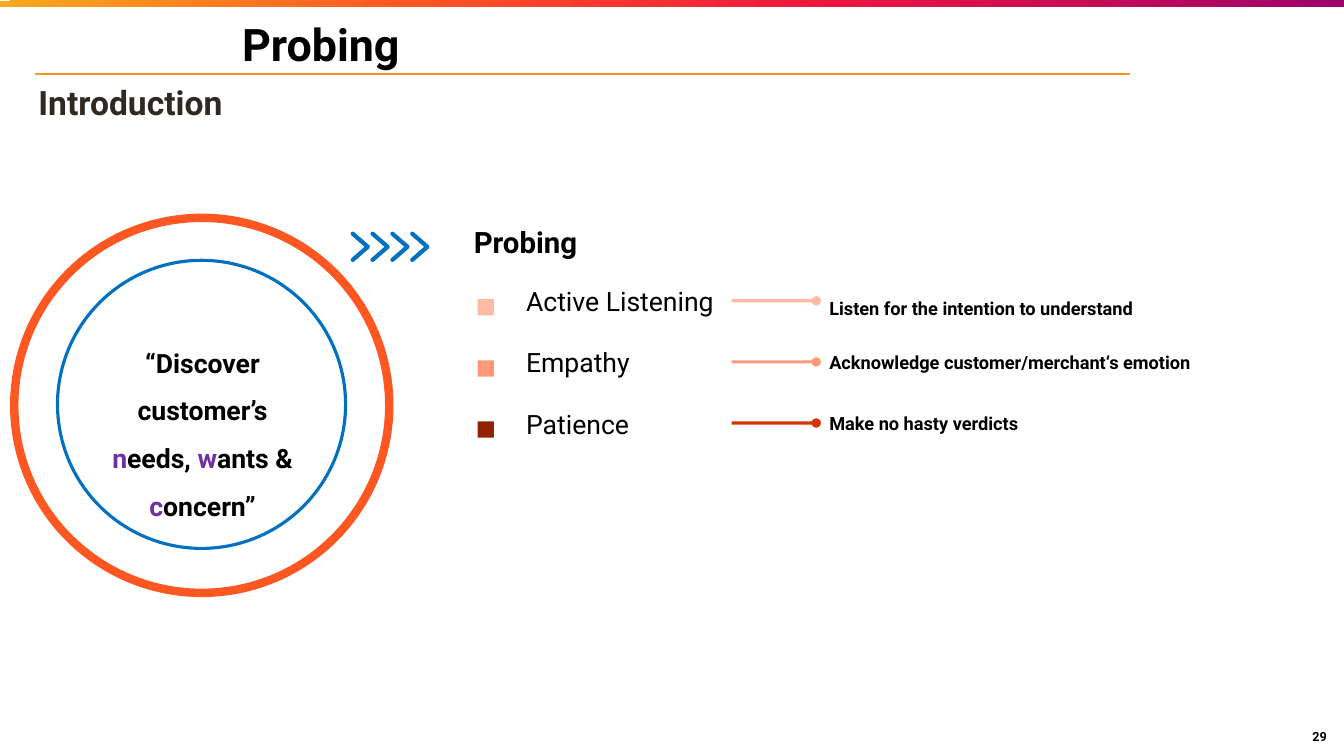
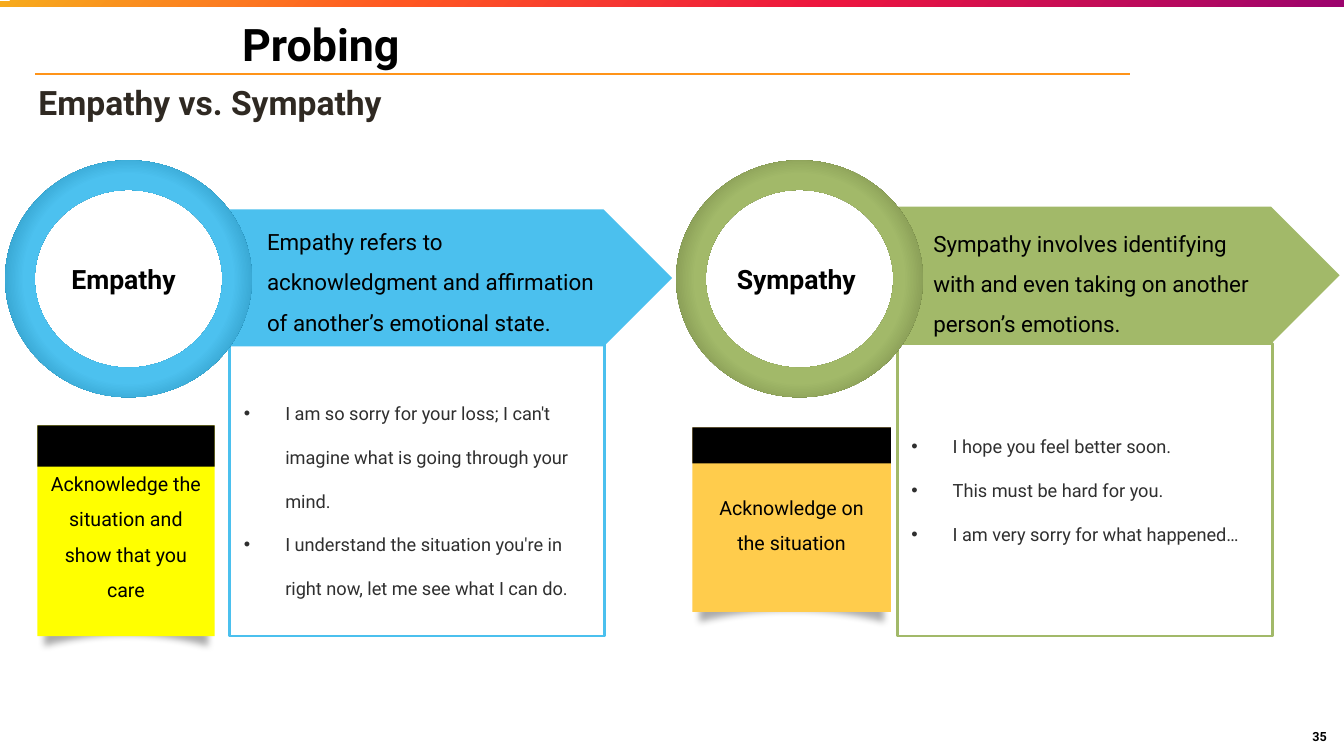
from dataclasses import dataclass

from lxml import etree
from pptx import Presentation
from pptx import oxml
from pptx import util as u
from pptx.dml.color import RGBColor
from pptx.enum import shapes, text
from pptx.oxml import ns

Cm, Pt = u.Cm, u.Pt
Box = tuple[float, float, float, float]  # left, top, width, height in cm
Runs = list[tuple[str, str]]  # text, colour name

FONT = "Roboto"
COLORS = {
    "black": "000000", "white": "FFFFFF", "subtitle": "2F2922", "body": "2F2F2F",
    "rule": "FF9419", "orange": "FF5722", "blue": "0070C0", "purple": "7030A0",
    "peach": "FFBAA6", "salmon": "FF997A", "red": "D83300", "maroon": "902200",
    "sky": "4BC0EE", "olive": "A2B969", "yellow": "FFFF00", "amber": "FFCC4C",
    "grey": "BDBDBD",
}
BAND_STOPS = [(0, "F7AB1D"), (30, "FF5722"), (62, "EC153F"), (100, "9C036D")]
LINEAR = '<a:lin ang="2700000" scaled="0"/>'
RADIAL = ('<a:path path="circle"><a:fillToRect l="50000" t="50000" '
          'r="50000" b="50000"/></a:path>')
SMALL_INSETS = (0.08, 0.08, 0.08, 0.08)
TEXT_INSETS = (0.33, 0.18, 0.33, 0.18)


@dataclass
class TextStyle:
    size: float
    color: str = "black"
    bold: bool = False
    align: text.PP_ALIGN = text.PP_ALIGN.LEFT
    anchor: text.MSO_ANCHOR = text.MSO_ANCHOR.TOP
    spacing: float = 1.0
    insets: Box = TEXT_INSETS
    bullets: bool = False


@dataclass
class Skill:
    name: str
    detail: str
    square_color: str
    line_color: str
    detail_height: float = 0.91
    detail_spacing: float = 1.0


@dataclass
class Note:
    message: str
    box: Box
    header_height: float
    color: str


@dataclass
class Panel:
    name: str
    definition: str
    examples: list[str]
    color: str
    ring_stops: list[tuple[int, str]]
    ring_left: float
    name_left: float
    box_left: float
    arrow_top: float
    definition_box: Box
    note: Note
    bottom_inset: float = 0.18


def rgb(name: str) -> RGBColor:
    return RGBColor.from_string(COLORS[name])


def drawing_xml(tag: str, attributes: str = "", inner: str = ""):
    return oxml.parse_xml(f"<a:{tag} {ns.nsdecls('a')} {attributes}>{inner}</a:{tag}>")


def paint(shape, fill: str | None = None, line: str | None = None, width: float = 1) -> None:
    """Set fill and outline by colour name; None means none."""
    shape.shadow.inherit = False
    if fill:
        shape.fill.solid()
        shape.fill.fore_color.rgb = rgb(fill)
    else:
        shape.fill.background()
    if line:
        shape.line.color.rgb = rgb(line)
        shape.line.width = Pt(width)
    else:
        shape.line.fill.background()


def paint_gradient(shape, stops: list[tuple[int, str]], direction: str) -> None:
    paint(shape, "white")
    solid = shape._element.spPr.find(ns.qn("a:solidFill"))
    stop_xml = "".join(f'<a:gs pos="{position * 1000}"><a:srgbClr val="{color}"/></a:gs>'
                       for position, color in stops)
    gradient = drawing_xml("gradFill", 'rotWithShape="1"',
                           f"<a:gsLst>{stop_xml}</a:gsLst>{direction}")
    solid.getparent().replace(solid, gradient)


def add_preset(slide, kind: shapes.MSO_SHAPE, box: Box):
    return slide.shapes.add_shape(kind, *(Cm(value) for value in box))


def add_outline(slide, points: list[tuple[float, float]], close: bool):
    (left, top), *rest = [(Cm(x), Cm(y)) for x, y in points]
    builder = slide.shapes.build_freeform(left, top)
    builder.add_line_segments(rest, close=close)
    return builder.convert_to_shape()


def add_line(slide, start: tuple[float, float], end: tuple[float, float],
             color: str, width: float):
    line = slide.shapes.add_connector(shapes.MSO_CONNECTOR.STRAIGHT,
                                      *(Cm(value) for value in start + end))
    line.line.color.rgb = rgb(color)
    line.line.width = Pt(width)
    line._element.spPr.append(drawing_xml("effectLst"))
    return line


def add_bullet(paragraph) -> None:
    properties = paragraph._p.get_or_add_pPr()
    properties.set("marL", str(Cm(1.07)))
    properties.set("indent", str(Cm(-1.04)))
    properties.append(drawing_xml("buClr", "", f'<a:srgbClr val="{COLORS["body"]}"/>'))
    properties.append(drawing_xml("buFont", 'typeface="Arial"'))
    properties.append(drawing_xml("buChar", 'char="•"'))


def write(shape, paragraphs: list[Runs], style: TextStyle) -> None:
    frame = shape.text_frame
    frame.word_wrap = True
    frame.vertical_anchor = style.anchor
    (frame.margin_left, frame.margin_top,
     frame.margin_right, frame.margin_bottom) = (Cm(inset) for inset in style.insets)
    for index, runs in enumerate(paragraphs):
        paragraph = frame.add_paragraph() if index else frame.paragraphs[0]
        if style.bullets:
            add_bullet(paragraph)
        paragraph.alignment = style.align
        paragraph.line_spacing = style.spacing
        for words, color in runs:
            run = paragraph.add_run()
            run.text = words
            run.font.name = FONT
            run.font.size = Pt(style.size)
            run.font.bold = style.bold
            run.font.color.rgb = rgb(color)


def add_text(slide, box: Box, words: str | Runs, style: TextStyle):
    text_box = slide.shapes.add_textbox(*(Cm(value) for value in box))
    runs = [(words, style.color)] if isinstance(words, str) else words
    write(text_box, [runs], style)
    return text_box


def add_base_slide(presentation, subtitle: str, number: int):
    """Add a slide with the shared band, title, rule, subtitle and number."""
    slide = presentation.slides.add_slide(presentation.slide_layouts[6])
    middle = text.MSO_ANCHOR.MIDDLE
    add_line(slide, (0.89, 1.87), (28.47, 1.87), "rule", 1.5)
    band = add_preset(slide, shapes.MSO_SHAPE.RECTANGLE, (0, 0.02, 33.87, 0.15))
    paint_gradient(band, BAND_STOPS, LINEAR)
    add_text(slide, (0.89, 2.06, 27.4, 1.02), subtitle,
             TextStyle(24, "subtitle", True, anchor=middle, insets=SMALL_INSETS))
    add_text(slide, (32.66, 18.14, 1.19, 0.86), str(number),
             TextStyle(9, bold=True, align=text.PP_ALIGN.CENTER, anchor=middle,
                       insets=(0, 0, 0, 0)))
    add_text(slide, (6.02, 0.13, 21.49, 1.96), "Probing",
             TextStyle(32, bold=True, anchor=middle, insets=SMALL_INSETS))
    return slide


def add_skill(slide, skill: Skill, top: float) -> None:
    height = 1.14
    square = add_preset(slide, shapes.MSO_SHAPE.RECTANGLE, (12.04, top + 0.53, 0.41, 0.41))
    paint(square, skill.square_color)
    label = add_text(slide, (12.93, top, 5.51, height), skill.name, TextStyle(19))
    detail_top = top + (height - skill.detail_height) / 2
    detail = add_text(slide, (20.57, detail_top, 13, skill.detail_height), skill.detail,
                      TextStyle(13, bold=True, spacing=skill.detail_spacing))
    center = top + height / 2
    line = add_line(slide, (18.44, center), (20.57, center), skill.line_color, 2.25)
    line.begin_connect(label, 3)
    line.end_connect(detail, 1)
    line.line._get_or_add_ln().append(drawing_xml("tailEnd", 'type="oval"'))


def add_quote_circle(slide) -> None:
    for box, color, width in [((0.36, 5.49, 9.45, 9.45), "orange", 6),
                              ((1.45, 6.56, 7.26, 7.26), "blue", 2.25)]:
        paint(add_preset(slide, shapes.MSO_SHAPE.OVAL, box), None, color, width)
    for index in range(4):
        left = 8.89 + 0.5 * index
        chevron = add_outline(slide, [(left, 5.89), (left + 0.38, 6.22), (left, 6.55)], False)
        paint(chevron, None, "blue", 3)
        outline = chevron.line._get_or_add_ln()
        outline.set("cap", "rnd")
        outline.append(drawing_xml("round"))
    quote = [("“Discover customer’s ", "black"), ("n", "purple"), ("eeds, ", "black"),
             ("w", "purple"), ("ants & ", "black"), ("c", "purple"), ("oncern”", "black")]
    add_text(slide, (2.11, 8.15, 5.99, 5.2), quote,
             TextStyle(19, bold=True, align=text.PP_ALIGN.CENTER, spacing=1.5))


def add_note(slide, note: Note) -> None:
    """Draw a headed note with a curled shadow under its lower edge."""
    left, top, width, height = note.box
    inset, depth, steps = 0.19, 0.6, 16
    curl_width, bottom = width - 2 * inset, top + height
    curl = [(left + inset + curl_width * step / steps,
             bottom - 0.47 * depth * (1 - (2 * step / steps - 1) ** 2))
            for step in range(steps + 1)]
    corners = [(left + width - inset, bottom - depth), (left + inset, bottom - depth)]
    shade = add_outline(slide, curl + corners, True)
    paint(shade, "grey")
    effects = shade._element.spPr.find(ns.qn("a:effectLst"))
    shadow = drawing_xml("outerShdw", f'blurRad="{Pt(5)}" dist="{Pt(7)}" dir="5400000" rotWithShape="0"')
    color = etree.SubElement(shadow, ns.qn("a:srgbClr"), val=COLORS["black"])
    etree.SubElement(color, ns.qn("a:alpha"), val="33000")
    effects.append(shadow)

    sheet = add_preset(slide, shapes.MSO_SHAPE.RECTANGLE, note.box)
    paint(sheet, note.color)
    write(sheet, [[(note.message, "black")]],
          TextStyle(14, align=text.PP_ALIGN.CENTER, anchor=text.MSO_ANCHOR.MIDDLE, spacing=1.5))
    header = add_preset(slide, shapes.MSO_SHAPE.RECTANGLE, (left, top, width, note.header_height))
    paint(header, "black")


def add_panel(slide, panel: Panel) -> None:
    examples = add_preset(slide, shapes.MSO_SHAPE.RECTANGLE, (panel.box_left, 8.66, 9.45, 7.37))
    paint(examples, "white", panel.color, 2)
    write(examples, [[(example, "body")] for example in panel.examples],
          TextStyle(13, anchor=text.MSO_ANCHOR.MIDDLE, spacing=2, bullets=True,
                    insets=(0.33, 0.18, 0.33, panel.bottom_inset)))
    arrow = add_preset(slide, shapes.MSO_SHAPE.PENTAGON,
                       (panel.box_left, panel.arrow_top, 11.15, 3.45))
    paint(arrow, panel.color)
    add_text(slide, panel.definition_box, panel.definition, TextStyle(16, spacing=1.5))
    ring = add_preset(slide, shapes.MSO_SHAPE.DONUT, (panel.ring_left, 4.04, 6.22, 5.97))
    ring.adjustments[0] = 0.125
    paint_gradient(ring, panel.ring_stops, RADIAL)
    add_text(slide, (panel.name_left, 6.45, 3.93, 1.14), panel.name, TextStyle(19, bold=True))
    add_note(slide, panel.note)


SKILLS = [
    Skill("Active Listening", "Listen for the intention to understand",
          "peach", "peach", 1.09, 1.5),
    Skill("Empathy", "Acknowledge customer/merchant‘s emotion", "salmon", "salmon"),
    Skill("Patience", "Make no hasty verdicts", "maroon", "red"),
]
PANELS = [
    Panel("Empathy",
          "Empathy refers to acknowledgment and affirmation of another’s emotional state.",
          ["I am so sorry for your loss; I can't imagine what is going through your mind.",
           "I understand the situation you're in right now, let me see what I can do."],
          "sky", [(0, "4CC1EF"), (61, "4CC1EF"), (100, "0C6B90")],
          0.13, 1.47, 5.79, 5.28, (6.4, 5.23, 9.45, 3.3),
          Note("Acknowledge the situation and show that you care",
               (0.94, 10.72, 4.47, 5.31), 1.04, "yellow")),
    Panel("Sympathy",
          "Sympathy involves identifying with and even taking on another person’s emotions.",
          ["I hope you feel better soon.", "This must be hard for you.",
           "I am very sorry for what happened…"],
          "olive", [(0, "A2B969"), (61, "A2B969"), (100, "53622E")],
          17.04, 18.24, 22.61, 5.21, (23.19, 5.28, 9.19, 3.3),
          Note("Acknowledge on the situation",
               (17.45, 10.77, 5, 4.65), 0.91, "amber"), 0.71),
]


def main() -> None:
    presentation = Presentation()
    presentation.slide_width, presentation.slide_height = Cm(33.87), Cm(19.05)

    introduction = add_base_slide(presentation, "Introduction", 29)
    add_text(introduction, (11.61, 5.61, 8.41, 0.97), "Probing",
             TextStyle(21, bold=True, anchor=text.MSO_ANCHOR.MIDDLE))
    for index, skill in enumerate(SKILLS):
        add_skill(introduction, skill, 7.01 + 1.54 * index)
    add_quote_circle(introduction)

    comparison = add_base_slide(presentation, "Empathy vs. Sympathy", 35)
    for panel in PANELS:
        add_panel(comparison, panel)

    presentation.save("out.pptx")


if __name__ == "__main__":
    main()
